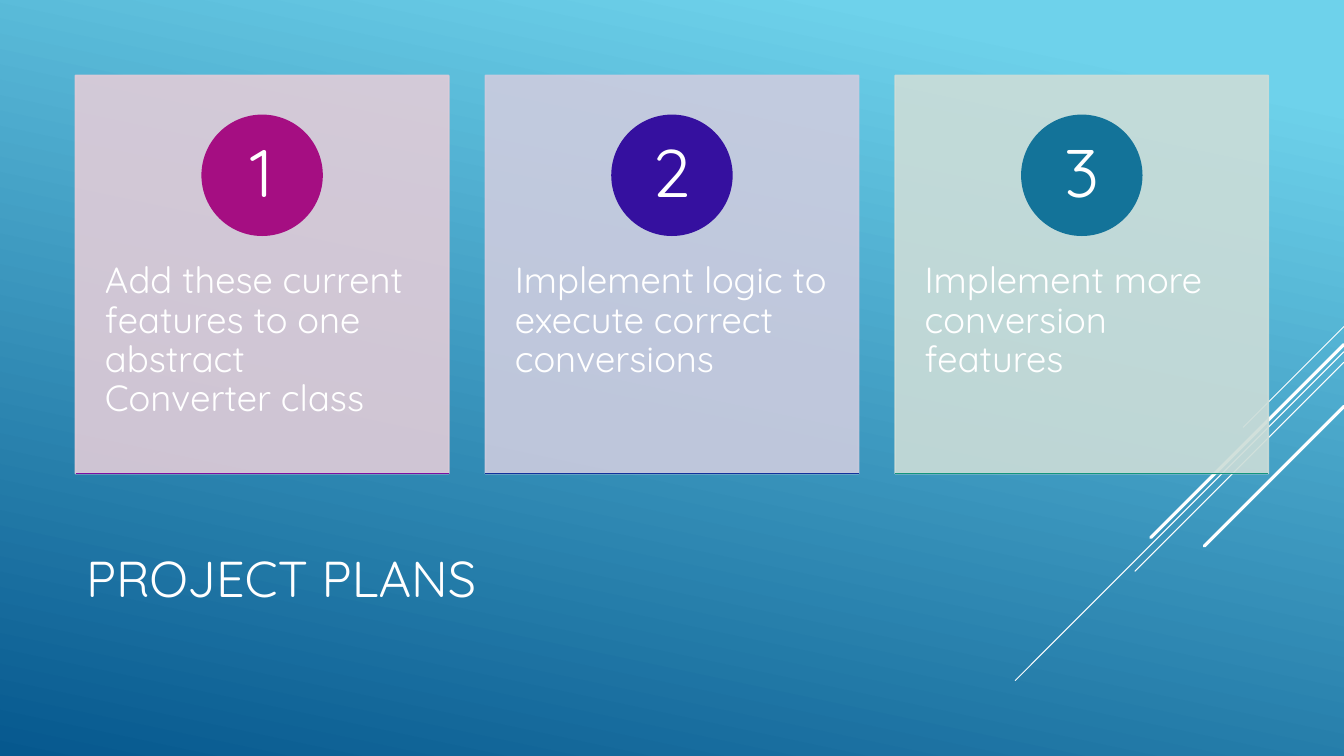
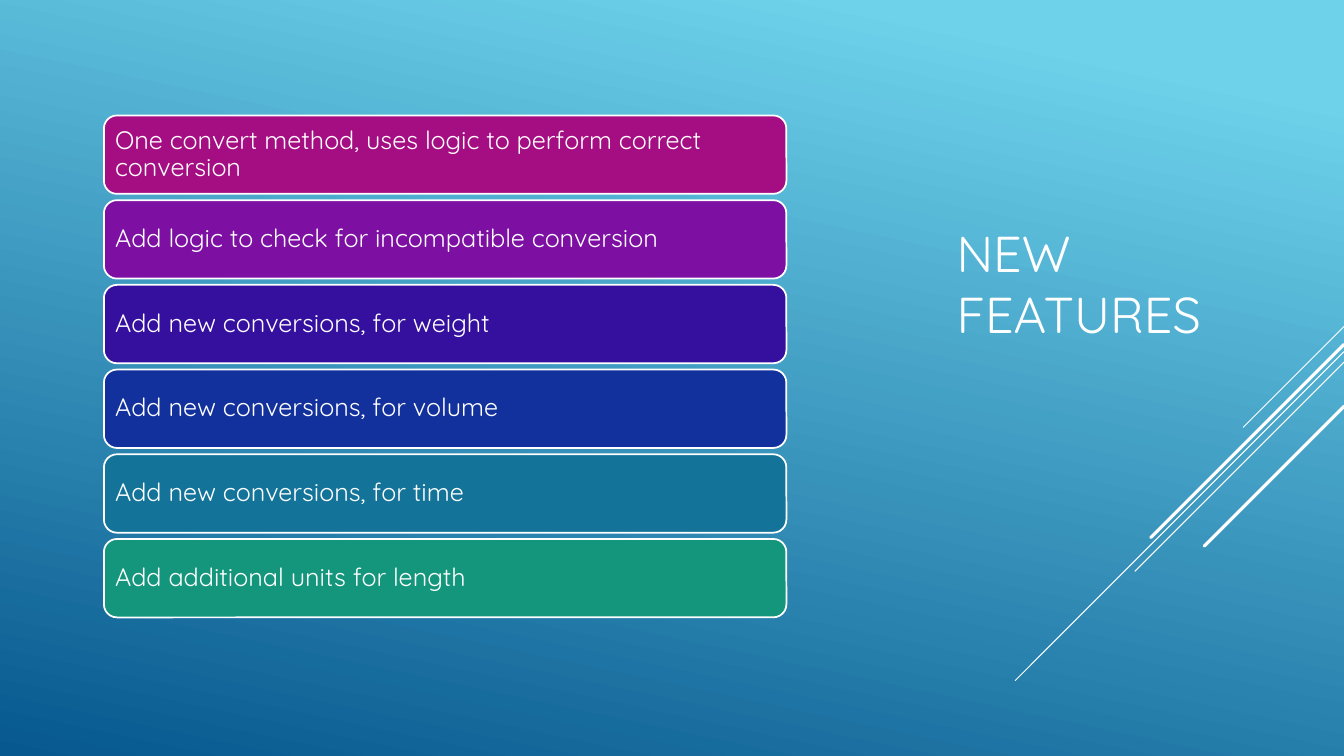
from lxml.etree import SubElement
from pptx import Presentation
from pptx.dml.color import RGBColor
from pptx.enum.shapes import MSO_CONNECTOR as Connector, MSO_SHAPE as Preset
from pptx.enum.text import MSO_ANCHOR as Anchor, MSO_AUTO_SIZE as AutoSize, PP_ALIGN as Align
from pptx.oxml.ns import qn
from pptx.util import Pt

PX = 9525
WIDTH, HEIGHT = 1280, 720
FONT = "Quicksand"

WHITE = RGBColor(0xFF, 0xFF, 0xFF)
SKY = RGBColor(0x6E, 0xD2, 0xEB)
DEEP_BLUE = RGBColor(0x06, 0x58, 0x8E)
MAGENTA = RGBColor(0xA5, 0x0E, 0x82)
PURPLE = RGBColor(0x7D, 0x0F, 0xA2)
INDIGO = RGBColor(0x35, 0x10, 0x9F)
BLUE = RGBColor(0x12, 0x31, 0x9C)
TEAL = RGBColor(0x13, 0x73, 0x99)
GREEN = RGBColor(0x14, 0x96, 0x7C)
PALE_PINK = RGBColor(0xE1, 0xCC, 0xD8)
PALE_BLUE = RGBColor(0xCD, 0xCC, 0xDF)
PALE_GREEN = RGBColor(0xCC, 0xDD, 0xD8)

STREAKS = [(311, 96, 0.75), (335, 313, 0.75), (345, 199, 0.75), (328, 184, 2.25), (387, 133, 2.25)]

PLANS = [
    ("Add these current features to one abstract Converter class", PALE_PINK, MAGENTA, PURPLE),
    ("Implement logic to execute correct conversions", PALE_BLUE, INDIGO, BLUE),
    ("Implement more conversion features", PALE_GREEN, TEAL, GREEN),
]

FEATURES = [
    ("One convert method, uses logic to perform correct conversion", MAGENTA),
    ("Add logic to check for incompatible conversion", PURPLE),
    ("Add new conversions, for weight", INDIGO),
    ("Add new conversions, for volume", BLUE),
    ("Add new conversions, for time", TEAL),
    ("Add additional units for length", GREEN),
]


def emu(*lengths):
    """Turn px lengths into EMU."""
    return [round(length * PX) for length in lengths]


def write(shape, text, size, insets=(10, 5, 10, 5), anchor=Anchor.MIDDLE, align=Align.LEFT, spacing=0.9):
    """Write one white paragraph into a shape."""
    frame = shape.text_frame
    frame.word_wrap = True
    frame.auto_size = AutoSize.NONE
    frame.vertical_anchor = anchor
    frame.margin_left, frame.margin_top, frame.margin_right, frame.margin_bottom = emu(*insets)
    paragraph = frame.paragraphs[0]
    paragraph.alignment = align
    paragraph.line_spacing = spacing
    run = paragraph.add_run()
    run.text = text
    run.font.name = FONT
    run.font.size = Pt(size)
    run.font.color.rgb = WHITE


def add_filled(slide, preset, box, fill, outline):
    """Add a flat preset shape with a solid fill and outline."""
    shape = slide.shapes.add_shape(preset, *emu(*box))
    shape.shadow.inherit = False
    shape.fill.solid()
    shape.fill.fore_color.rgb = fill
    shape.line.color.rgb = outline
    shape.line.width = Pt(1.25)
    return shape


def add_line(slide, ends, color, width, cap="flat"):
    """Add a straight line without a shadow."""
    connector = slide.shapes.add_connector(Connector.STRAIGHT, *emu(*ends))
    connector.line.color.rgb = color
    connector.line.width = Pt(width)
    properties = connector.element.spPr
    properties.find(qn("a:ln")).set("cap", cap)
    SubElement(properties, qn("a:effectLst"))


def make_translucent(shape, percent):
    """Set the opacity of every colour in a shape's fill and outline."""
    for color in shape.element.spPr.iter(qn("a:srgbClr")):
        SubElement(color, qn("a:alpha")).set("val", str(percent * 1000))


def set_background(master):
    """Give all slides the sky-to-blue gradient."""
    fill = master.background.fill
    fill.gradient()
    fill.gradient_angle = 258
    for stop, position, color in zip(fill.gradient_stops, (0.1, 1), (SKY, DEEP_BLUE)):
        stop.position = position
        stop.color.rgb = color


def add_base_slide(presentation, title, box):
    """Add a slide with the diagonal streaks and a title in its box."""
    slide = presentation.slides.add_slide(presentation.slide_layouts[5])
    for top, reach, width in STREAKS:
        add_line(slide, (WIDTH, top, WIDTH - reach, top + reach), WHITE, width, "rnd")
    placeholder = slide.shapes.title
    placeholder.left, placeholder.top, placeholder.width, placeholder.height = emu(*box)
    write(placeholder, title, 36, spacing=1.0)
    return slide


def add_plan_card(slide, box, number, plan):
    """Add a numbered card with a coloured base line."""
    left, top, width, height = box
    text, pale, badge_color, base_color = plan
    card = add_filled(slide, Preset.RECTANGLE, box, pale, pale)
    make_translucent(card, 90)
    write(card, text, 26, (28, 178, 28, 0), Anchor.TOP)
    size = 114
    badge_box = (left + (width - size) / 2, top + 38, size, size)
    badge = add_filled(slide, Preset.OVAL, badge_box, badge_color, badge_color)
    write(badge, str(number), 48, (9, 1, 9, 1), align=Align.CENTER)
    add_line(slide, (left, top + height, left + width, top + height), base_color, 1.25)


def add_plan_cards(slide, box, gap=35):
    """Spread the plan cards evenly across a box."""
    left, top, width, height = box
    card_width = (width + gap) / len(PLANS) - gap
    for index, plan in enumerate(PLANS):
        card_left = left + index * (card_width + gap)
        add_plan_card(slide, (card_left, top, card_width, height), index + 1, plan)


def add_feature_bars(slide, box, gap=6):
    """Stack the feature bars evenly down a box."""
    left, top, width, height = box
    bar_height = (height + gap) / len(FEATURES) - gap
    for index, (text, color) in enumerate(FEATURES):
        bar_box = (left, top + index * (bar_height + gap), width, bar_height)
        bar = add_filled(slide, Preset.ROUNDED_RECTANGLE, bar_box, color, WHITE)
        write(bar, text, 18, (7, 7, 7, 7))


def main():
    """Build and save the presentation."""
    presentation = Presentation()
    presentation.slide_width, presentation.slide_height = emu(WIDTH, HEIGHT)
    set_background(presentation.slide_master)
    plans = add_base_slide(presentation, "PROJECT PLANS", (72, 471, 896, 158))
    add_plan_cards(plans, (72, 72, 1136, 379))
    features = add_base_slide(presentation, "NEW FEATURES", (901, 99, 320, 341))
    add_feature_bars(features, (99, 110, 650, 478))
    presentation.save("out.pptx")


if __name__ == "__main__":
    main()
